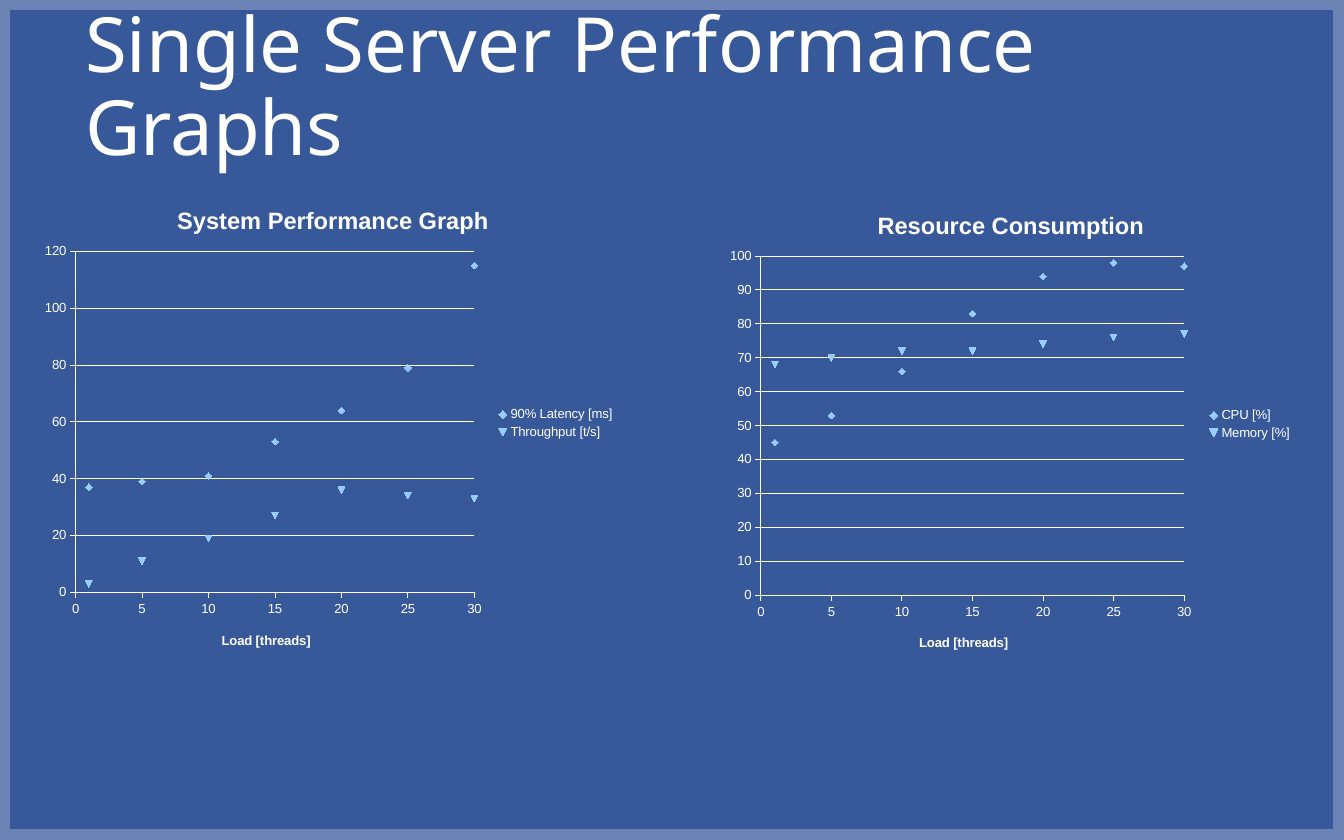
from dataclasses import dataclass

import pptx
import pptx.chart.data
import pptx.dml.color
import pptx.enum.chart
import pptx.enum.shapes
import pptx.enum.text
import pptx.oxml
import pptx.oxml.ns
import pptx.util

Inches, Pt = pptx.util.Inches, pptx.util.Pt
RGB = pptx.dml.color.RGBColor.from_string
qn = pptx.oxml.ns.qn


@dataclass
class Theme:
    back = RGB("375999")
    frame = RGB("6B84B5")
    text = RGB("FFFFFF")
    marker = RGB("99CCFF")
    title_font = "Noto Sans"
    chart_font = "Arial"
    title_size = Pt(58)
    chart_title_size = Pt(18)
    label_size = Pt(10)


theme = Theme()


def place(el, chart_size, x, y, w=None, h=None, inner=False):
    """Put a chart part at a position given in inches from the chart's corner."""
    layout = el.find(qn("c:layout"))
    if layout is None:
        layout = pptx.oxml.parse_xml('<c:layout %s/>' % pptx.oxml.ns.nsdecls("c"))
        overlay = el.find(qn("c:overlay"))
        if overlay is None:
            el.insert(0, layout)
        else:
            overlay.addprevious(layout)
    for child in list(layout):
        layout.remove(child)
    width, height = chart_size
    values = [("layoutTarget", "inner")] if inner else []
    values += [("xMode", "edge"), ("yMode", "edge"), ("x", x / width), ("y", y / height)]
    if w is not None:
        values += [("w", w / width), ("h", h / height)]
    manual = layout.makeelement(qn("c:manualLayout"), {})
    layout.append(manual)
    for tag, value in values:
        manual.append(manual.makeelement(qn("c:" + tag), {"val": str(value)}))


def write(tf, text, size, font, bold=False):
    r = tf.paragraphs[0].add_run()
    r.text = text
    r.font.size, r.font.name, r.font.bold = size, font, bold
    r.font.color.rgb = theme.text


prs = pptx.Presentation()
prs.slide_width, prs.slide_height = Inches(14.22), Inches(8.89)
s = prs.slides.add_slide(prs.slide_layouts[6])

# Framed background
sp = s.shapes.add_shape(pptx.enum.shapes.MSO_SHAPE.RECTANGLE, 0, 0,
                        prs.slide_width, prs.slide_height)
sp.shadow.inherit = False
sp.fill.solid()
sp.fill.fore_color.rgb = theme.back
sp.line.color.rgb = theme.frame
sp.line.width = Pt(16)

# Slide title
tb = s.shapes.add_textbox(Inches(0.86), Inches(0.53), Inches(12.92), Inches(0.83))
tf = tb.text_frame
tf.word_wrap = True
tf.vertical_anchor = pptx.enum.text.MSO_ANCHOR.MIDDLE
tf.margin_left = tf.margin_right = tf.margin_top = tf.margin_bottom = Inches(0.04)
tf.paragraphs[0].line_spacing = 0.9
write(tf, "Single Server Performance Graphs", theme.title_size, theme.title_font)

# Chart data, and the places of the chart parts inside each chart
loads = [1, 5, 10, 15, 20, 25, 30]
charts = [
    dict(title="System Performance Graph", left=0.36, size=(6.24, 5.08), top_value=120, step=20,
         series={"90% Latency [ms]": [37, 39, 41, 53, 64, 79, 115],
                 "Throughput [t/s]": [3, 11, 19, 27, 36, 34, 33]},
         plot=(0.44, 0.72, 4.22, 3.61), title_at=(1.47, 0.18),
         axis_title_at=(1.96, 4.72), legend=(4.88, 2.34, 1.28, 0.4)),
    dict(title="Resource Consumption", left=7.61, size=(6.14, 5.11), top_value=100, step=10,
         series={"CPU [%]": [45, 53, 66, 83, 94, 98, 97],
                 "Memory [%]": [68, 70, 72, 72, 74, 76, 77]},
         plot=(0.44, 0.77, 4.48, 3.59), title_at=(1.63, 0.24),
         axis_title_at=(2.09, 4.75), legend=(5.14, 2.35, 0.95, 0.4)),
]

for spec_row in charts:
    size = spec_row["size"]
    data = pptx.chart.data.XyChartData()
    for name, values in spec_row["series"].items():
        series = data.add_series(name)
        for load, value in zip(loads, values):
            series.add_data_point(load, value)
    chart = s.shapes.add_chart(pptx.enum.chart.XL_CHART_TYPE.XY_SCATTER,
                               Inches(spec_row["left"]), Inches(1.94),
                               Inches(size[0]), Inches(size[1]), data).chart
    chart.font.size, chart.font.name = theme.label_size, theme.chart_font
    chart.font.color.rgb = theme.text

    # Titles
    write(chart.chart_title.text_frame, spec_row["title"],
          theme.chart_title_size, theme.chart_font, True)
    place(chart.chart_title._element, size, *spec_row["title_at"])
    axis_title = chart.category_axis.axis_title
    write(axis_title.text_frame, "Load [threads]", theme.label_size, theme.chart_font, True)
    place(axis_title._element, size, *spec_row["axis_title_at"])

    # Axes
    for axis, top, step in ((chart.category_axis, 30, 5),
                            (chart.value_axis, spec_row["top_value"], spec_row["step"])):
        axis.minimum_scale, axis.maximum_scale, axis.major_unit = 0, top, step
        axis.major_tick_mark = pptx.enum.chart.XL_TICK_MARK.OUTSIDE
        axis.minor_tick_mark = pptx.enum.chart.XL_TICK_MARK.NONE
        axis.format.line.color.rgb = theme.text
        axis.format.line.width = Pt(0.75)
    chart.category_axis.has_major_gridlines = False
    grid = chart.value_axis.major_gridlines.format.line
    grid.color.rgb = theme.text
    grid.width = Pt(0.75)
    place(chart._chartSpace.chart.plotArea, size, *spec_row["plot"], inner=True)

    # Legend
    chart.has_legend = True
    chart.legend.position = pptx.enum.chart.XL_LEGEND_POSITION.RIGHT
    chart.legend.include_in_layout = False
    place(chart.legend._element, size, *spec_row["legend"])

    # Markers: the automatic symbols from the second on are diamond and triangle
    chart.plots[0].vary_by_categories = False
    for number, series in enumerate(chart.plots[0].series, start=1):
        series._element.find(qn("c:idx")).set("val", str(number))
        series.smooth = False
        series.format.line.fill.background()
        series.marker.style = pptx.enum.chart.XL_MARKER_STYLE.AUTOMATIC
        series.marker.size = 5
        series.marker.format.fill.solid()
        series.marker.format.fill.fore_color.rgb = theme.marker
        series.marker.format.line.color.rgb = theme.marker

prs.save("out.pptx")
